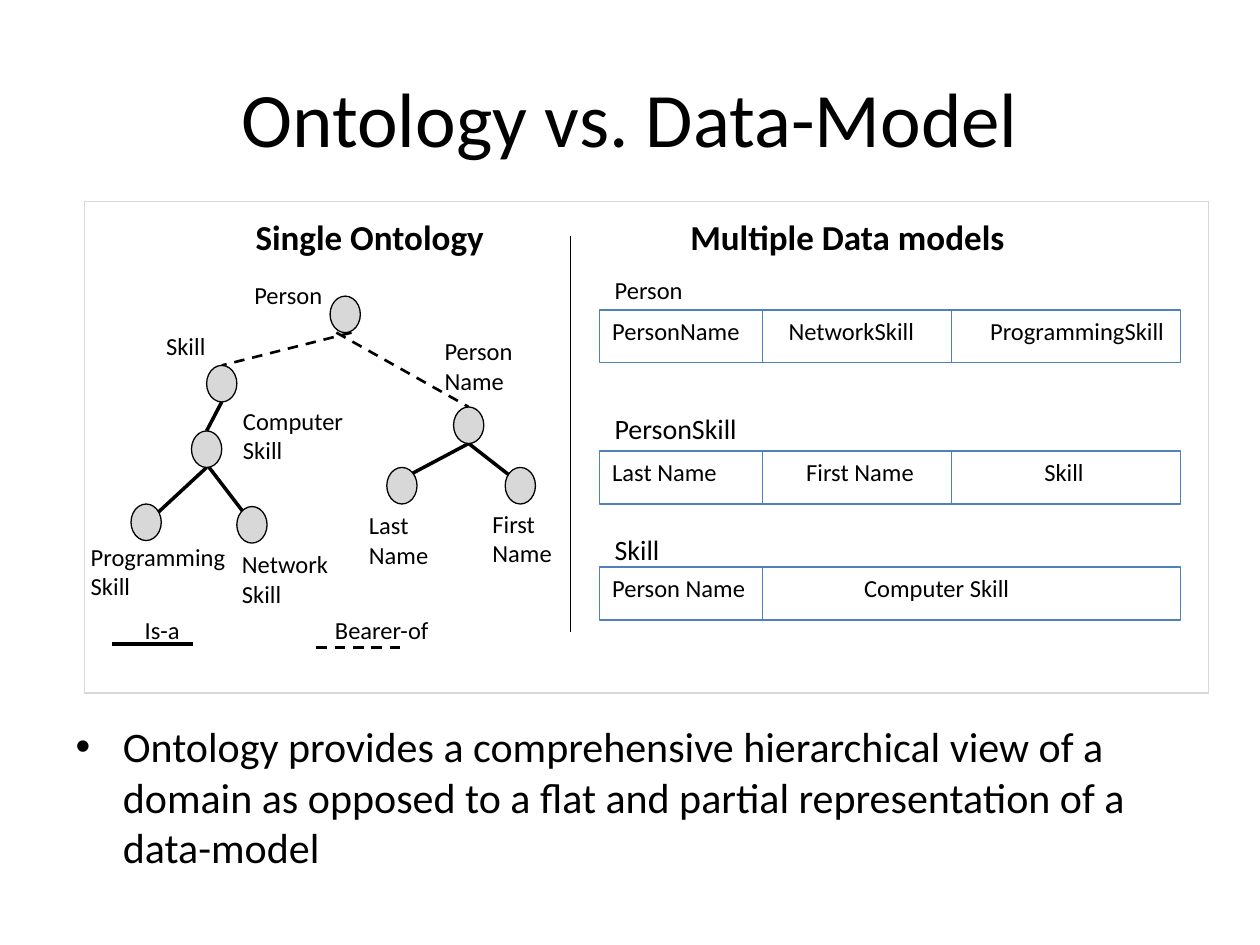
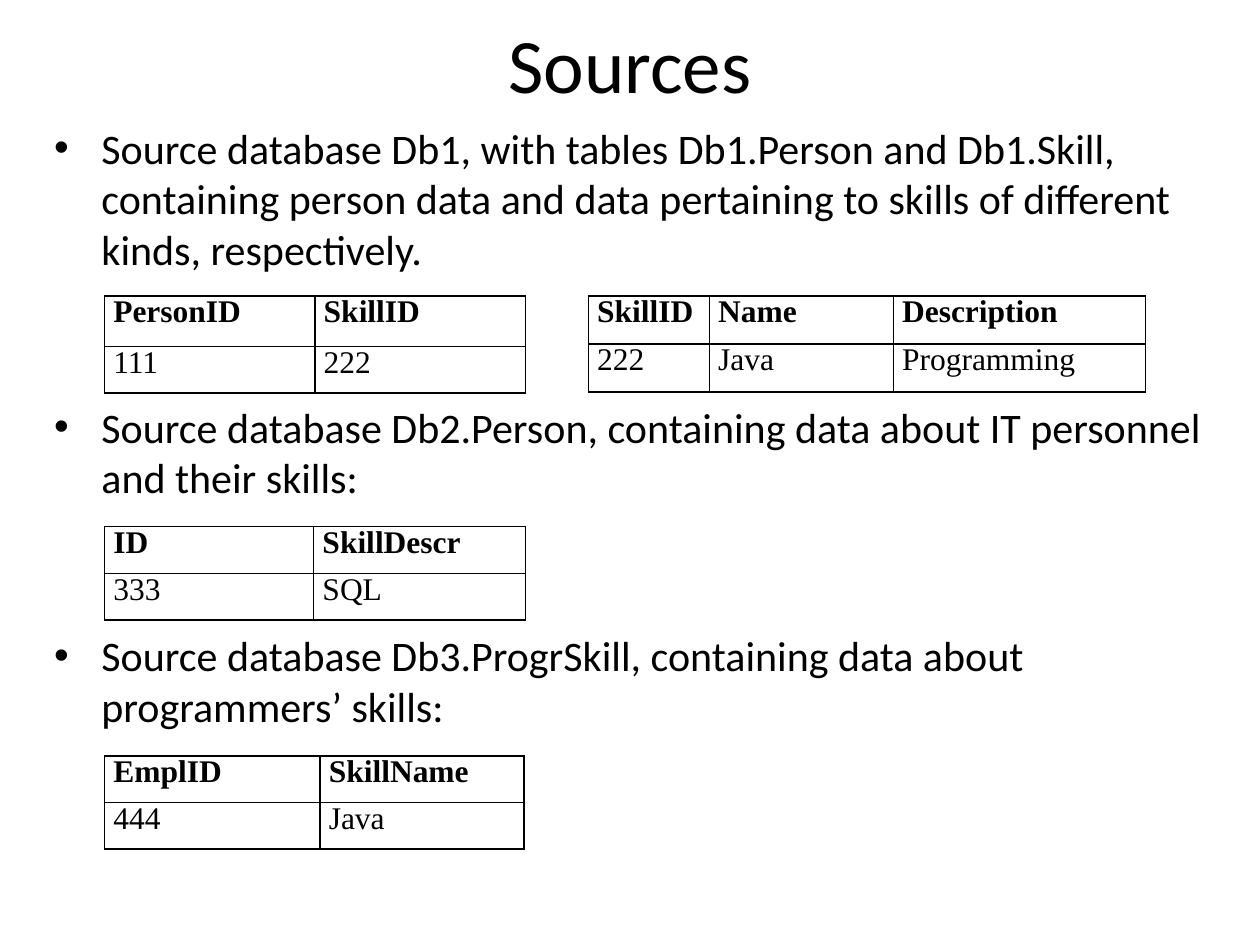
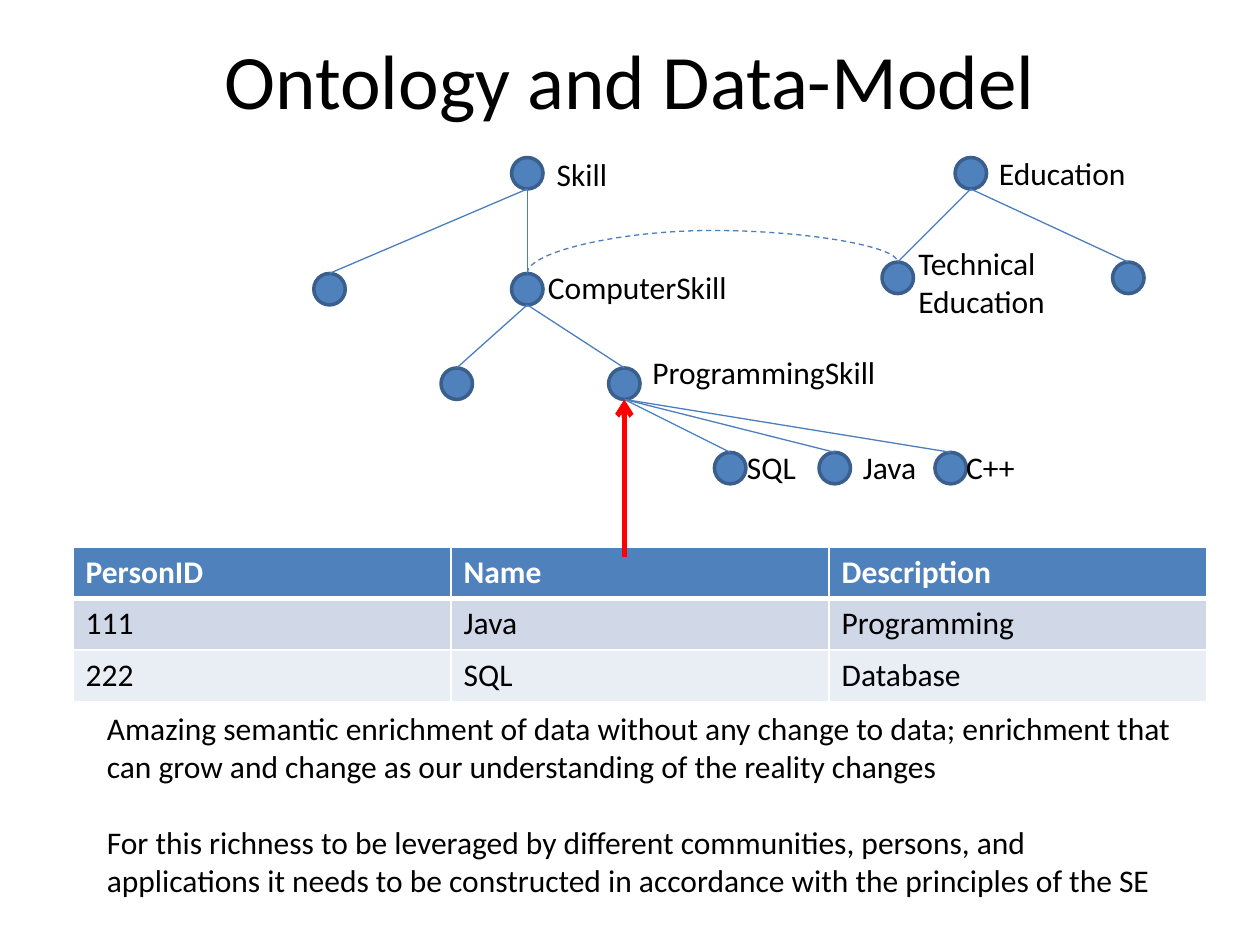
from lxml.etree import SubElement
from pptx import Presentation
from pptx.dml.color import RGBColor
from pptx.enum.dml import MSO_LINE
from pptx.enum.shapes import MSO_CONNECTOR as LINK, MSO_SHAPE as SHAPE
from pptx.enum.text import MSO_ANCHOR as ANCHOR, PP_ALIGN as ALIGN
from pptx.oxml.ns import qn
from pptx.util import Emu, Inches, Pt

BLACK, WHITE, GREY = "000000", "FFFFFF", "D8D8D8"
BLUE, BLUE_EDGE, BLUE_LINE, RED = "4F81BD", "3A5F8C", "4B7EBC", "FF0000"
BAND_FILLS = ["D0D8E8", "E9EDF4"]
BODY_FONT, TABLE_FONT = "Calibri", "Times New Roman"
SLIDE_W, SLIDE_H = 10, 7.5
LAYOUT_BODY, LAYOUT_TITLE = 1, 5
MARGIN = 0.5

# Slide 1: ontology tree, with (left, top) of each node
VERSUS_TITLE = "Ontology vs. Data-Model"
VERSUS_POINT = ("Ontology provides a comprehensive hierarchical view of a domain as "
                "opposed to a flat and partial representation of a data-model")
PANEL = (0.67, 1.6, 8.92, 3.9)
HEADINGS = [("Single Ontology", (1.93, 1.66, 2.3, 0.72)),
            ("Multiple Data models", (5.38, 1.66, 3.89, 0.58))]
CONCEPT_SIZE = (0.24, 0.29)
CONCEPTS = {
    "person": (2.62, 2.35), "skill": (1.64, 2.9), "computer": (1.52, 3.42),
    "programming": (1.04, 4), "network": (1.88, 4.02),
    "name": (3.6, 3.23), "last": (3.07, 3.71), "first": (4.01, 3.71),
}
# parent, child, shift of the start, end as a share of the child, kind
RELATIONS = [
    ("person", "skill", 0.05, (0.5, 0), "bearer"),
    ("person", "name", -0.07, (0.5, 0), "bearer"),
    ("skill", "computer", 0, (0.5, 0), "is-a"),
    ("computer", "programming", 0, (0.83, 0.28), "is-a"),
    ("computer", "network", 0.02, (0.2, 0.14), "is-a"),
    ("name", "last", 0, (0.83, 0.17), "is-a"),
    ("name", "first", 0, (0.58, 0.5), "is-a"),
]
RELATION_STYLE = {"is-a": (2, False), "bearer": (1.5, True)}
LEGEND = ("\tIs-a\tBearer-of", (0.83, 4.83, 4.85, 0.56), (0.22, 1.73))
LEGEND_LINES = [("is-a", 0.89, 1.53, 5.11), ("bearer", 2.51, 3.21, 5.14)]
CONCEPT_LABELS = [  # text, box, left inset
    ("Computer Skill", (1.83, 3.17, 1.32, 0.89), 0.1),
    ("Person", (1.92, 2.17, 1.25, 0.52), 0.1),
    ("Person Name", (3.43, 2.62, 1.11, 0.9), 0.1),
    ("First Name", (3.81, 3.99, 0.94, 0.89), 0.1),
    ("Last Name", (2.83, 4, 0.9, 0.89), 0.1),
    ("Programming\nSkill", (0.72, 4.25, 1.35, 0.66), 0),
    ("Network\nSkill", (1.92, 4.31, 0.93, 0.53), 0),
    ("Skill", (1.22, 2.58, 0.86, 0.67), 0.1),
]
DIVIDER = (4.53, 1.87, 4.53, 5.02)
MODEL_LEFT, MODEL_W, MODEL_H = 4.76, 4.61, 0.42
MODEL_RULES = [6.05, 7.55]
MODELS = [  # name, name size, name top, row top, fields, tab stops
    ("Person", 14, 2.13, 2.46, ["PersonName", "NetworkSkill", "ProgrammingSkill"], (1.4, 3)),
    ("PersonSkill", 16, 3.22, 3.58, ["Last Name", "First Name", "Skill"], (1.54, 3.43)),
    ("Skill", 16, 4.18, 4.5, ["Person Name", "Computer Skill"], (2,)),
]

# Slide 2
SOURCES_TITLE = "Sources"
SOURCES = [
    "Source database Db1, with tables Db1.Person and Db1.Skill, containing person "
    "data and data pertaining to skills of different kinds, respectively.",
    "Source database Db2.Person, containing data about IT personnel and their skills:",
    "Source database Db3.ProgrSkill, containing data about programmers’ skills:",
]
TABLE_GAP = 73  # points left between the points for the tables
SOURCE_TABLES = [  # left, top, column widths, row heights, cells
    (0.83, 2.35, (1.67, 1.67), (0.4, 0.37), [["PersonID", "SkillID"], ["111", "222"]]),
    (4.67, 2.35, (0.96, 1.46, 2), (0.38, 0.38),
     [["SkillID", "Name", "Description"], ["222", "Java", "Programming"]]),
    (0.83, 4.18, (1.66, 1.68), (0.37, 0.37), [["ID", "SkillDescr"], ["333", "SQL"]]),
    (0.83, 6, (1.71, 1.62), (0.37, 0.37), [["EmplID", "SkillName"], ["444", "Java"]]),
]

# Slide 3
JOINT_TITLE = "Ontology and Data-Model"
TERM_SIZE = 0.25
TERMS = {
    "skill": (4.06, 1.25), "other skill": (2.49, 2.17), "computer": (4.06, 2.17),
    "other computer": (3.5, 2.92), "programming": (4.83, 2.92),
    "sql": (5.67, 3.59), "java": (6.5, 3.59), "c++": (7.42, 3.59),
    "education": (7.58, 1.25), "technical": (7, 2.08), "other education": (8.83, 2.08),
}
BRANCHES = {
    "skill": ["other skill", "computer"],
    "computer": ["other computer", "programming"],
    "programming": ["sql", "java", "c++"],
    "education": ["technical", "other education"],
}
TERM_LABELS = [
    ("Skill", (4.32, 1.18, 1.08, 0.4)), ("ComputerSkill", (4.25, 2.08, 2.08, 0.4)),
    ("ProgrammingSkill", (5.08, 2.75, 2.33, 0.4)), ("SQL", (5.83, 3.51, 0.67, 0.4)),
    ("Java", (6.75, 3.51, 0.67, 0.4)), ("C++", (7.57, 3.51, 0.67, 0.4)),
    ("Education", (7.83, 1.17, 1.58, 0.4)),
    ("Technical\nEducation", (7.19, 1.89, 1.23, 0.71)),
]
CROSS_LINK, CROSS_TOP = ("computer", "technical"), 1.83
PEOPLE = [["PersonID", "Name", "Description"],
          ["111", "Java", "Programming"],
          ["222", "SQL", "Database"]]
PEOPLE_LEFT, PEOPLE_TOP = 0.58, 4.34
ARROW_START = 4.42
REMARKS = ("Amazing semantic enrichment of data without any change to data; enrichment "
           "that can grow and change as our understanding of the reality changes\n"
           "For this richness to be leveraged by different communities, persons, and "
           "applications it needs to be constructed in accordance with the principles of the SE")


def rgb(code):
    """Turn a hex string into a colour."""
    return RGBColor.from_string(code)


def inches(values):
    """Turn a row of numbers into lengths."""
    return [Inches(value) for value in values]


def write(frame, text, size, color=BLACK, bold=False, font=BODY_FONT, gap=None):
    """Fill a text frame, a paragraph per line, with gap points between them."""
    frame.text = text
    frame.word_wrap = True
    for index, paragraph in enumerate(frame.paragraphs):
        paragraph.font.size, paragraph.font.name = Pt(size), font
        paragraph.font.bold, paragraph.font.color.rgb = bold, rgb(color)
        if gap and index:
            paragraph.space_before = Pt(gap)


def set_tabs(frame, stops):
    """Give the first paragraph left tab stops, in inches."""
    tab_list = SubElement(frame.paragraphs[0]._p.get_or_add_pPr(), qn("a:tabLst"))
    for stop in stops:
        SubElement(tab_list, qn("a:tab"), pos=str(Inches(stop)), algn="l")


def add_shape(slide, kind, box, fill=None, edge=None, width=0.75):
    """Draw a preset shape without shadow."""
    shape = slide.shapes.add_shape(kind, *inches(box))
    shape.shadow.inherit = False
    if fill:
        shape.fill.solid()
        shape.fill.fore_color.rgb = rgb(fill)
    else:
        shape.fill.background()
    if edge:
        shape.line.color.rgb, shape.line.width = rgb(edge), Pt(width)
    else:
        shape.line.fill.background()
    return shape


def add_label(slide, text, box, size, bold=False, inset=0.1, fill=WHITE, edge=None):
    """Draw a rectangle with text at its top left."""
    label = add_shape(slide, SHAPE.RECTANGLE, box, fill, edge)
    frame = label.text_frame
    write(frame, text, size, bold=bold)
    frame.vertical_anchor, frame.margin_left = ANCHOR.TOP, Inches(inset)
    for paragraph in frame.paragraphs:
        paragraph.alignment = ALIGN.LEFT
    return frame


def add_text(slide, text, box, size, gap=None):
    """Add a plain text box."""
    write(slide.shapes.add_textbox(*inches(box)).text_frame, text, size, gap=gap)


def add_line(slide, ends, color, width=0.75, dashed=False, arrow=False, kind=LINK.STRAIGHT):
    """Draw a connector between two points, x1, y1, x2, y2."""
    link = slide.shapes.add_connector(kind, *inches(ends))
    link.line.color.rgb, link.line.width = rgb(color), Pt(width)
    if dashed:
        link.line.dash_style = MSO_LINE.DASH
    if arrow:
        SubElement(link.line._get_or_add_ln(), qn("a:tailEnd"), type="arrow")
    SubElement(link._element.spPr, qn("a:effectLst"))
    return link


def add_arch(slide, start, end, top):
    """Join two points by a dashed curve that rises to top."""
    (x1, y1), (x2, y2) = start, end
    run, drop = x2 - x1, y1 - y2
    link = add_line(slide, (x1, y1, x2, y2), BLUE_LINE, dashed=True, kind=LINK.CURVE)
    link.left, link.top = inches(((x1 + x2 - drop) / 2, (y1 + y2 - run) / 2))
    link.width, link.height = inches((drop, run))
    properties = link._element.spPr
    frame = properties.find(qn("a:xfrm"))
    for key, value in (("rot", "5400000"), ("flipH", "1"), ("flipV", "1")):
        frame.set(key, value)
    geometry = properties.find(qn("a:prstGeom"))
    guides = geometry.find(qn("a:avLst"))
    if guides is None:
        guides = SubElement(geometry, qn("a:avLst"))
    rise = round((y1 - top) / drop * 100000)
    SubElement(guides, qn("a:gd"), name="adj1", fmla=f"val {rise}")


def set_borders(cell, color, widths):
    """Draw the sides of a cell; widths maps L, R, T, B to points."""
    properties = cell._tc.get_or_add_tcPr()
    for side, width in widths.items():
        line = SubElement(properties, qn(f"a:ln{side}"), w=str(Pt(width)))
        SubElement(SubElement(line, qn("a:solidFill")), qn("a:srgbClr"), val=color)


def add_table(slide, left, top, widths, heights, rows, style_cell):
    """Add a table and style each of its cells by row number."""
    box = inches((left, top, sum(widths), sum(heights)))
    table = slide.shapes.add_table(len(rows), len(widths), *box).table
    for column, width in zip(table.columns, widths):
        column.width = Inches(width)
    for number, (row, height, texts) in enumerate(zip(table.rows, heights, rows)):
        row.height = Inches(height)
        for cell, text in zip(row.cells, texts):
            style_cell(cell, text, number)


def plain_cell(cell, text, row):
    """Style a cell of a black ruled table."""
    set_borders(cell, BLACK, dict.fromkeys("LRTB", 1))
    cell.fill.background()
    write(cell.text_frame, text, 18, bold=row == 0, font=TABLE_FONT)
    cell.text_frame.paragraphs[0].line_spacing = Pt(12)
    cell.margin_left = cell.margin_right = Inches(0.07)
    cell.margin_top = cell.margin_bottom = Inches(0.1)


def banded_cell(cell, text, row):
    """Style a cell of the blue banded table."""
    header = row == 0
    sides = {"L": 1, "R": 1, "T": 1 if row != 1 else 3, "B": 3 if header else 1}
    set_borders(cell, WHITE, sides)
    cell.fill.solid()
    cell.fill.fore_color.rgb = rgb(BLUE if header else BAND_FILLS[(row - 1) % 2])
    write(cell.text_frame, text, 18, WHITE if header else BLACK, header)


def place(shape, box):
    """Move a placeholder to a box."""
    shape.left, shape.top, shape.width, shape.height = inches(box)


def add_slide(deck, layout, title, top, height):
    """Add a slide with the shared title style."""
    slide = deck.slides.add_slide(deck.slide_layouts[layout])
    place(slide.shapes.title, (MARGIN, top, SLIDE_W - 2 * MARGIN, height))
    write(slide.shapes.title.text_frame, title, 44)
    return slide


def add_points(slide, points, box, gap=None):
    """Fill the body placeholder with bullet points."""
    body = slide.placeholders[1]
    place(body, box)
    write(body.text_frame, "\n".join(points), 24, gap=gap)


def draw_ontology(slide):
    """Draw the concept tree with labels and legend."""
    text, box, stops = LEGEND
    set_tabs(add_label(slide, text, box, 14, edge=WHITE), stops)
    for text, box, inset in CONCEPT_LABELS:
        add_label(slide, text, box, 14, inset=inset)
    width, height = CONCEPT_SIZE
    for parent, child, shift, (across, down), kind in RELATIONS:
        (x1, y1), (x2, y2) = CONCEPTS[parent], CONCEPTS[child]
        ends = (x1 + width / 2 + shift, y1 + height, x2 + across * width, y2 + down * height)
        add_line(slide, ends, BLACK, *RELATION_STYLE[kind])
    for corner in CONCEPTS.values():
        add_shape(slide, SHAPE.FLOWCHART_CONNECTOR, corner + CONCEPT_SIZE, GREY, BLACK)
    for kind, left, right, y in LEGEND_LINES:
        add_line(slide, (left, y, right, y), BLACK, *RELATION_STYLE[kind])


def draw_models(slide):
    """Draw the data models as rows of fields."""
    for name, size, name_top, top, fields, stops in MODELS:
        add_label(slide, name, (4.78, name_top, 1.25, 0.52), size)
        row = (MODEL_LEFT, top, MODEL_W, MODEL_H)
        set_tabs(add_label(slide, "\t".join(fields), row, 14, fill=None, edge=BLUE), stops)
        for x in MODEL_RULES[:len(fields) - 1]:
            add_line(slide, (x, top + 0.01, x, top + 0.41), BLUE_LINE)


def term_end(term, bottom=False):
    """Give the top or bottom middle of a term's circle."""
    x, y = TERMS[term]
    return x + TERM_SIZE / 2, y + TERM_SIZE * bottom


def draw_terms(slide):
    """Draw the two trees of terms and the link between them."""
    for corner in TERMS.values():
        add_shape(slide, SHAPE.OVAL, corner + (TERM_SIZE, TERM_SIZE), BLUE, BLUE_EDGE, 2)
    for parent, children in BRANCHES.items():
        for child in children:
            add_line(slide, term_end(parent, True) + term_end(child), BLUE_LINE)
    for text, box in TERM_LABELS:
        add_text(slide, text, box, 18)
    add_arch(slide, *map(term_end, CROSS_LINK), CROSS_TOP)


def build():
    """Build the three slides and save them."""
    deck = Presentation()
    deck.slide_width, deck.slide_height = inches((SLIDE_W, SLIDE_H))

    versus = add_slide(deck, LAYOUT_BODY, VERSUS_TITLE, 0.3, 1.25)
    add_points(versus, [VERSUS_POINT], (MARGIN, 5.67, 9, 1.42))
    add_shape(versus, SHAPE.RECTANGLE, PANEL, edge=GREY)
    for text, box in HEADINGS:
        add_label(versus, text, box, 20, bold=True, edge=WHITE)
    draw_ontology(versus)
    draw_models(versus)
    add_line(versus, DIVIDER, BLACK)

    sources = add_slide(deck, LAYOUT_BODY, SOURCES_TITLE, 0, 1)
    add_points(sources, SOURCES, (0.33, 0.92, 9.5, 5.92), TABLE_GAP)
    for table in SOURCE_TABLES:
        add_table(sources, *table, plain_cell)

    joint = add_slide(deck, LAYOUT_TITLE, JOINT_TITLE, 0, 1.25)
    add_table(joint, PEOPLE_LEFT, PEOPLE_TOP, [3] * 3, [0.41] * 3, PEOPLE, banded_cell)
    draw_terms(joint)
    x, y = term_end("programming", True)
    add_line(joint, (x, ARROW_START, x, y), RED, 3, arrow=True)
    add_text(joint, REMARKS, (0.75, 5.58, 8.67, 1.62), 18, gap=22)

    deck.save("out.pptx")


build()
